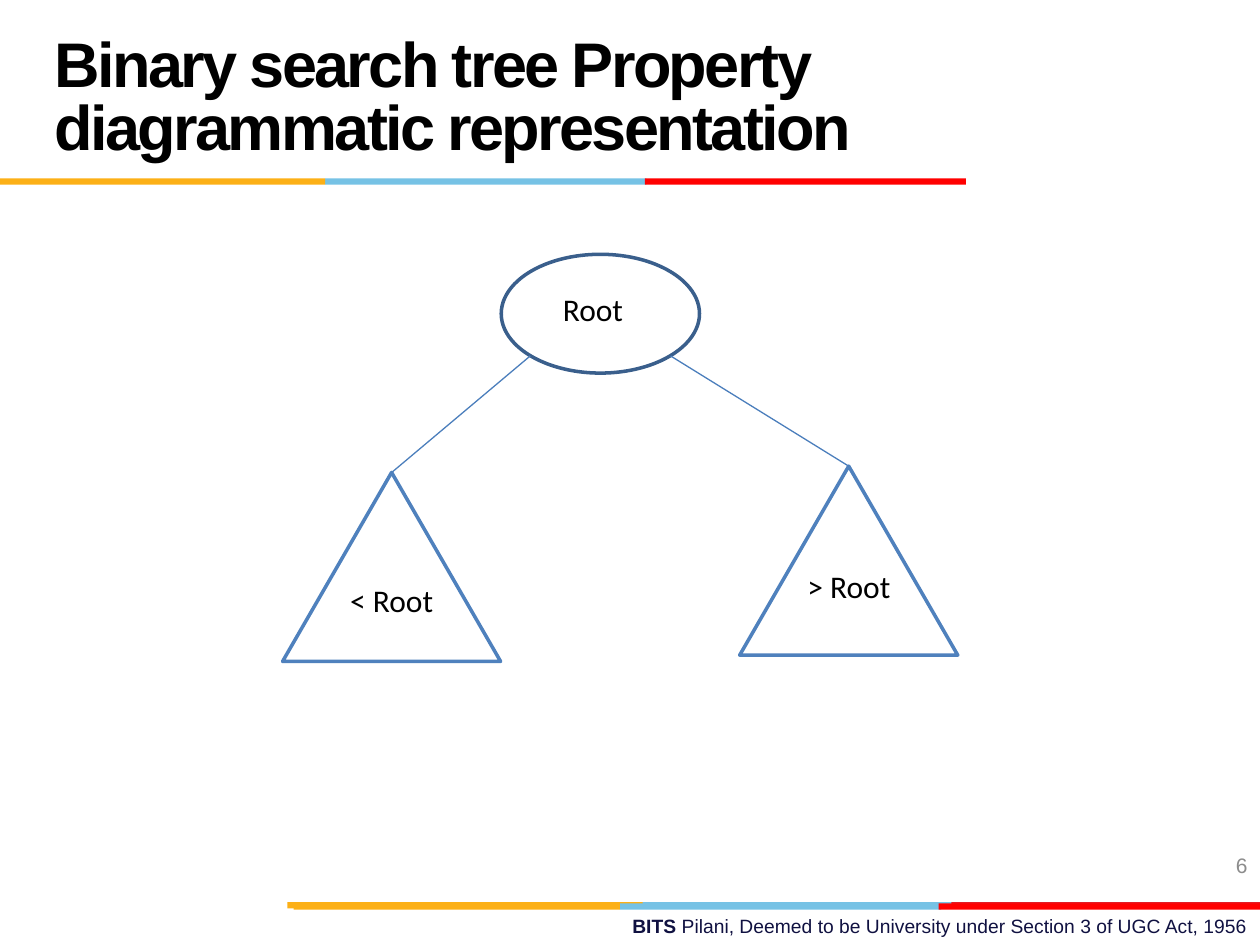
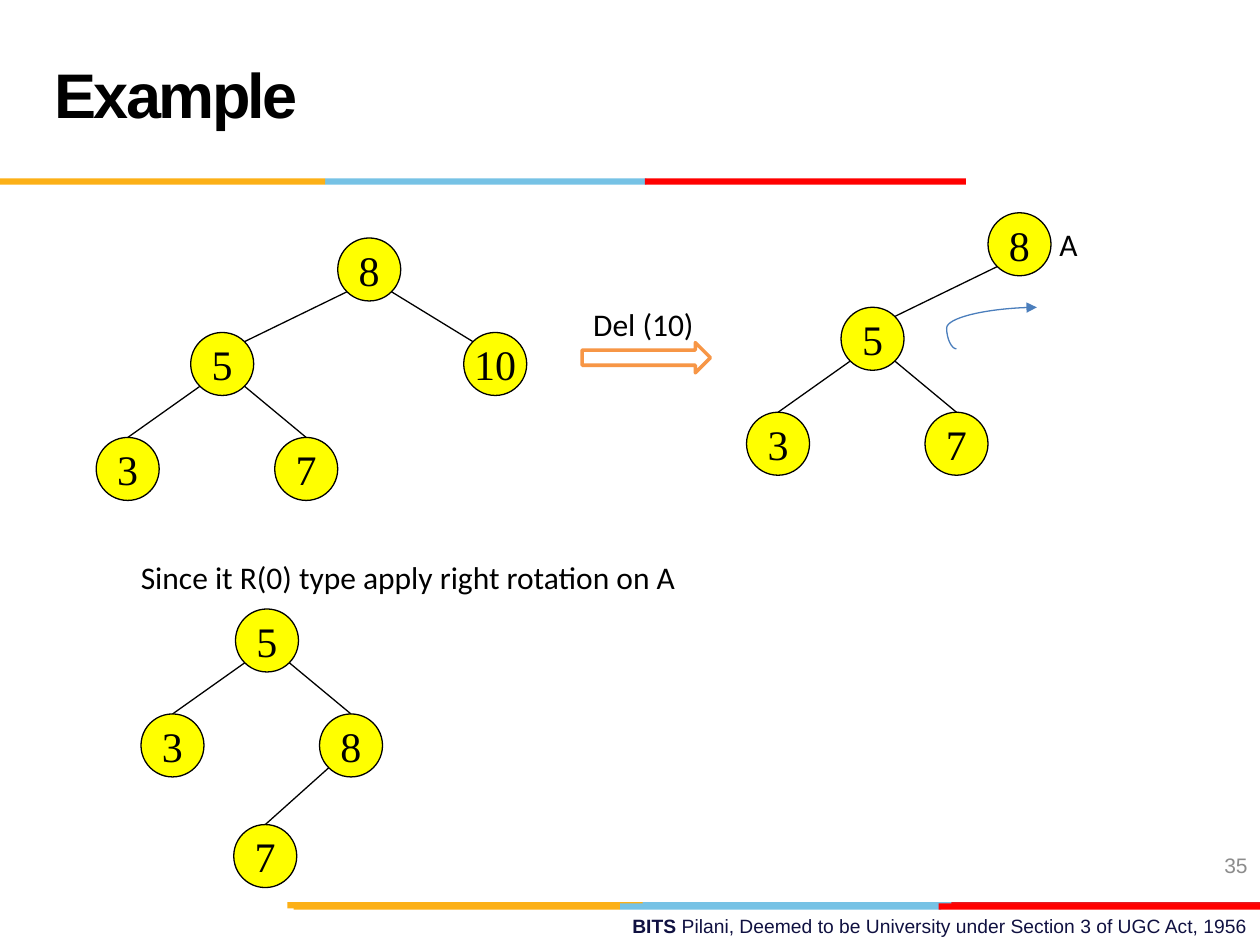
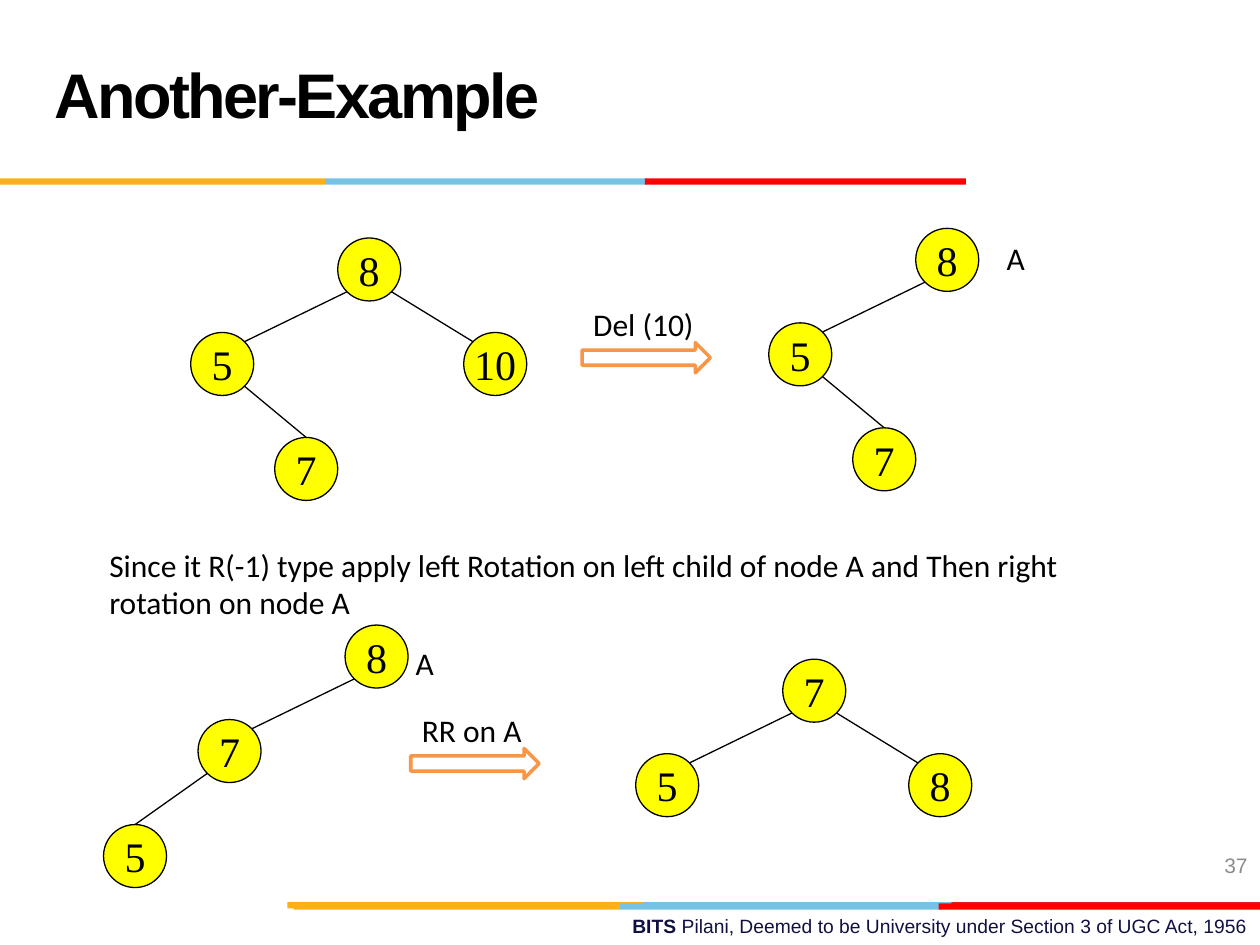
from lxml.etree import SubElement
from pptx import Presentation
from pptx.dml.color import RGBColor
from pptx.enum.shapes import MSO_CONNECTOR, MSO_SHAPE
from pptx.enum.text import MSO_ANCHOR, PP_ALIGN
from pptx.oxml.ns import qn
from pptx.shapes.connector import Connector
from pptx.util import Pt

BLACK, WHITE, YELLOW = "000000", "FFFFFF", "FFFF00"
BLUE, DARK_BLUE, EDGE_BLUE = "4F81BD", "3A5F8C", "4B7EBC"
ORANGE, NAVY, GREY = "F79646", "101141", "8C8C8C"
GOLD, SKY, RED, DARK_RED = "FCB017", "76C2E5", "FF0000", "E31C24"
color = RGBColor.from_string


def write(shape, text, font="Calibri", size=18, fill=BLACK, bold=False,
          align=PP_ALIGN.LEFT, anchor=MSO_ANCHOR.TOP, wrap=True):
    frame = shape.text_frame
    frame.word_wrap = wrap
    frame.vertical_anchor = anchor
    paragraph = frame.paragraphs[0]
    paragraph.alignment = align
    run = paragraph.add_run()
    run.text = text
    run.font.name = font
    run.font.size = Pt(size)
    run.font.bold = bold
    run.font.color.rgb = color(fill)
    return run


def add_figure(slide, kind, left, top, width, height, fill, line=None, line_width=2):
    shape = slide.shapes.add_shape(kind, Pt(left), Pt(top), Pt(width), Pt(height))
    shape.shadow.inherit = False
    shape.fill.solid()
    shape.fill.fore_color.rgb = color(fill)
    if line:
        shape.line.color.rgb = color(line)
        shape.line.width = Pt(line_width)
    else:
        shape.line.fill.background()
    return shape


presentation = Presentation()
presentation.slide_width, presentation.slide_height = Pt(720), Pt(540)
layout = presentation.slide_layouts[5]
for placeholder in list(layout.placeholders)[1:]:
    layout.shapes.element.remove(placeholder.element)
layout_title = layout.placeholders[0]
layout_title.left, layout_title.top = Pt(24), Pt(12)
layout_title.width, layout_title.height = Pt(498), Pt(90)

headings = [
    ("Binary search tree Property diagrammatic representation", "6"),
    ("Example", "35"),
    ("Another-Example", "37"),
]
slides = [presentation.slides.add_slide(layout) for heading in headings]
property_slide, example_slide, another_slide = slides

bands = [
    (364.3, 515.5, 183.6, SKY), (543.6, 515.5, 176.4, DARK_RED), (164.2, 515.5, 203, GOLD),
    (354.2, 516.2, 183.6, SKY), (167.8, 516.2, 186.4, GOLD), (536.4, 516.2, 183.6, RED),
    (185.8, 102, 183.6, SKY), (0, 102, 185.8, GOLD), (368.6, 102, 183.4, RED),
]
shared = [add_figure(property_slide, MSO_SHAPE.RECTANGLE, left, top, width, 3.6, fill)
          for left, top, width, fill in bands]
footer = property_slide.shapes.add_textbox(Pt(257.8), Pt(519.1), Pt(462.2), Pt(20.9))
for text, bold in [("BITS ", True),
                   ("Pilani, Deemed to be University under Section 3 of UGC Act, 1956", False)]:
    write(footer, text, "Arial", 11, NAVY, bold, PP_ALIGN.RIGHT)
for shape in shared + [footer]:
    layout.shapes.element.append(shape.element)

for slide, (heading, number) in zip(slides, headings):
    title = slide.shapes.title
    run = write(title, heading, "Arial", 36, BLACK, True, anchor=MSO_ANCHOR.MIDDLE)
    run.font._element.set("spc", "-150")
    title.text_frame.paragraphs[0].line_spacing = Pt(36)
    number_box = slide.shapes.add_textbox(Pt(552), Pt(480), Pt(168), Pt(28.8))
    write(number_box, number, "Arial", 12, GREY, align=PP_ALIGN.RIGHT, anchor=MSO_ANCHOR.MIDDLE)

add_figure(property_slide, MSO_SHAPE.OVAL, 286.4, 145.3, 113.3, 67.9, WHITE, DARK_BLUE)
for left, top, root_x in [(161.5, 270, 303), (422.7, 266.4, 383.2)]:
    subtree = add_figure(property_slide, MSO_SHAPE.ISOSCELES_TRIANGLE,
                         left, top, 124.6, 108, WHITE, BLUE)
    edge = property_slide.shapes.add_connector(
        MSO_CONNECTOR.STRAIGHT, Pt(root_x), Pt(203.4), Pt(left + 62.3), Pt(top))
    edge.end_connect(subtree, 0)
    edge.line.color.rgb = color(EDGE_BLUE)

LEFT, RIGHT = (-84, 54), (72, 54)
LOW_LEFT, LOW_RIGHT, LAST_LEFT = (-54, 60), (48, 60), (-49, 63.2)
trees = [
    (example_slide, 193, 136, "8",
     [("5", 0, LEFT), ("10", 0, RIGHT), ("3", 1, LOW_LEFT), ("7", 1, LOW_RIGHT)]),
    (example_slide, 564.6, 121.6, "8",
     [("5", 0, LEFT), ("3", 1, LOW_LEFT), ("7", 1, LOW_RIGHT)]),
    (example_slide, 134.6, 348, "5",
     [("3", 0, LOW_LEFT), ("8", 0, LOW_RIGHT), ("7", 2, LAST_LEFT)]),
    (another_slide, 193, 136, "8",
     [("5", 0, LEFT), ("10", 0, RIGHT), ("7", 1, LOW_RIGHT)]),
    (another_slide, 523.3, 130.5, "8", [("5", 0, LEFT), ("7", 1, LOW_RIGHT)]),
    (another_slide, 197.2, 357.2, "8", [("7", 0, LEFT), ("5", 1, LOW_LEFT)]),
    (another_slide, 447.3, 376.7, "7", [("5", 0, LEFT), ("8", 0, RIGHT)]),
]
RADIUS = 18
DIAGONAL = RADIUS * 0.71
for slide, root_left, root_top, root, children in trees:
    centers = [(root_left + RADIUS, root_top + RADIUS)]
    for label, parent, (across, down) in children:
        parent_x, parent_y = centers[parent]
        x, y = parent_x + across, parent_y + down
        centers.append((x, y))
        toward = DIAGONAL if across > 0 else -DIAGONAL
        if down > 54:
            end_x, end_y = x, y - RADIUS
        else:
            end_x, end_y = x - toward, y - DIAGONAL
        edge = slide.shapes.add_connector(
            MSO_CONNECTOR.STRAIGHT, Pt(parent_x + toward), Pt(parent_y + DIAGONAL),
            Pt(end_x), Pt(end_y))
        edge.line.color.rgb = color(BLACK)
    labels = [root] + [child[0] for child in children]
    for label, (x, y) in zip(labels, centers):
        node = add_figure(slide, MSO_SHAPE.OVAL, x - RADIUS, y - RADIUS,
                          2 * RADIUS, 2 * RADIUS, YELLOW, BLACK, 0.75)
        write(node, label, "Times New Roman", 24, align=PP_ALIGN.CENTER,
              anchor=MSO_ANCHOR.MIDDLE, wrap=False)

for slide, left, top in [(example_slide, 332.6, 195.8), (another_slide, 332.6, 195.8),
                         (another_slide, 234.7, 427.7)]:
    add_figure(slide, MSO_SHAPE.RIGHT_ARROW, left, top, 73.4, 17.3, WHITE, ORANGE)

rotation = example_slide.shapes.add_connector(
    MSO_CONNECTOR.CURVE, Pt(546.5), Pt(199.4), Pt(592.5), Pt(175.7))
rotation.line.color.rgb = color(EDGE_BLUE)
adjustments = rotation.element.spPr.find(qn("a:prstGeom")).find(qn("a:avLst"))
SubElement(adjustments, qn("a:gd"), name="adj1", fmla="val -12100")
SubElement(rotation.element.spPr.find(qn("a:ln")), qn("a:tailEnd"), type="triangle")

captions = [
    (property_slide, "Root", 314.6, 162, 62.6),
    (property_slide, "< Root", 193, 328.3, 62.6),
    (property_slide, "> Root", 454.3, 320.4, 62.6),
    (example_slide, "Del (10)", 331.9, 170.6, 73.4),
    (example_slide, "Since it R(0) type apply right rotation on A", 73.4, 315.4, 561.6),
    (example_slide, "A", 598.3, 125.3, 25.2),
    (another_slide, "Del (10)", 331.9, 170.6, 73.4),
    (another_slide, "Since it R(-1) type apply left Rotation on left child of node A "
                    "and Then right rotation on node A", 55.4, 308.2, 561.6),
    (another_slide, "A", 568.1, 133.2, 25.2),
    (another_slide, "RR on A", 234, 402.5, 73.4),
    (another_slide, "A", 230.4, 364.3, 25.2),
]
for slide, text, left, top, width in captions:
    height = 51.1 if "left child" in text else 28.8
    write(slide.shapes.add_textbox(Pt(left), Pt(top), Pt(width), Pt(height)), text)

for slide in slides:
    for shape in slide.shapes:
        if isinstance(shape, Connector):
            shape.line.width = Pt(0.75)
            SubElement(shape.element.spPr, qn("a:effectLst"))

presentation.save("out.pptx")
